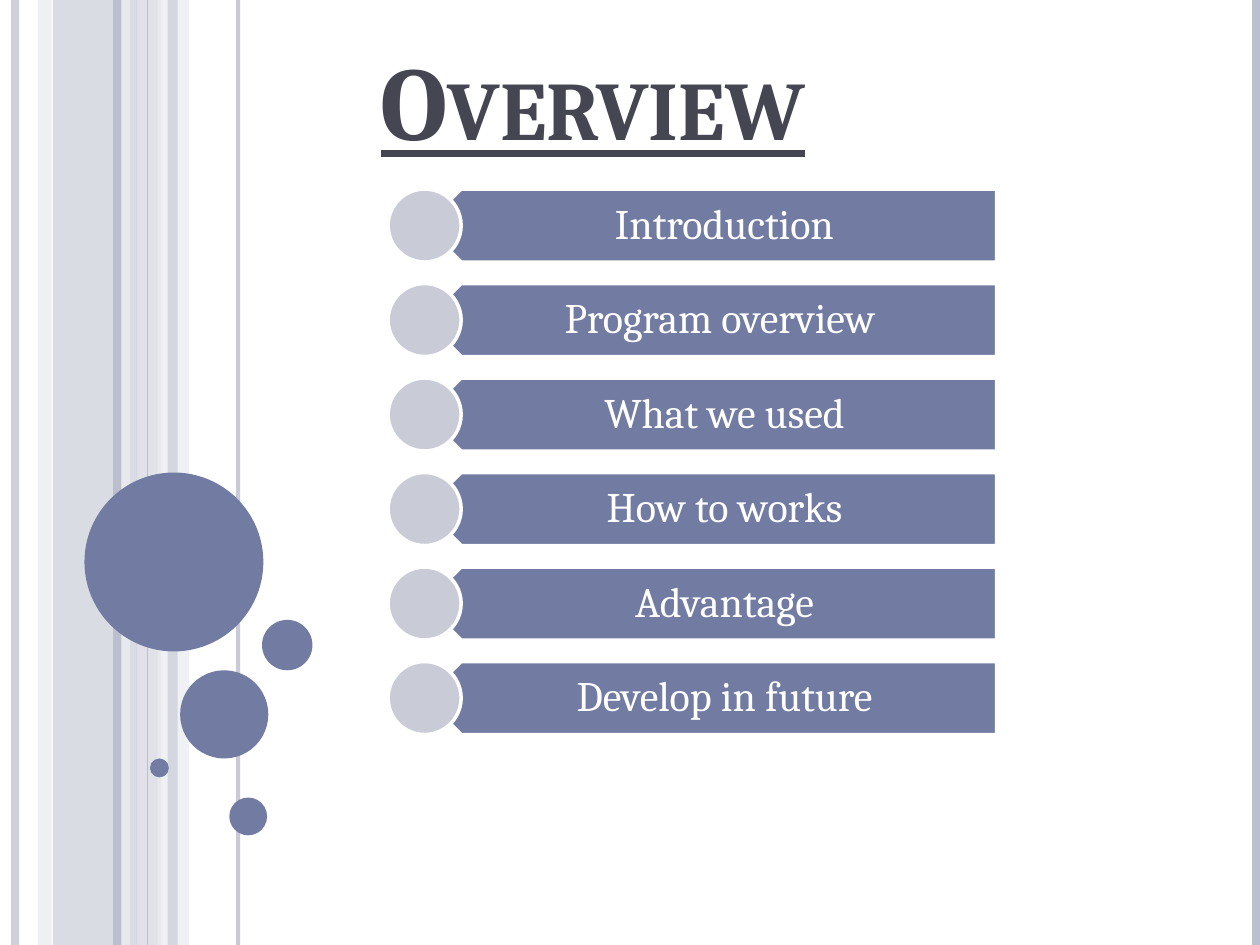
import lxml.etree
import pptx
import pptx.dml.color
import pptx.enum.shapes
import pptx.enum.text
import pptx.oxml.ns
import pptx.util

Inches = pptx.util.Inches
Pt = pptx.util.Pt
RGBColor = pptx.dml.color.RGBColor
Shapes = pptx.enum.shapes.MSO_SHAPE
Anchor = pptx.enum.text.MSO_ANCHOR
Align = pptx.enum.text.PP_ALIGN
qn = pptx.oxml.ns.qn

WHITE = RGBColor(0xFF, 0xFF, 0xFF)
INK = RGBColor(0x46, 0x46, 0x53)
SLATE = RGBColor(0x72, 0x7C, 0xA3)
MIST = RGBColor(0xC9, 0xCC, 0xD7)
STRIPE_DARK = RGBColor(0xBC, 0xBF, 0xCE)
STRIPE_MID = RGBColor(0xD5, 0xD7, 0xE0)
STRIPE_LIGHT = RGBColor(0xEB, 0xEC, 0xF0)

FONT = "Cambria"
SLIDE_WIDTH, SLIDE_HEIGHT = 10, 7.5

# left, width, colour, opacity in percent
BANDS = [
    (0.42, 0.67, STRIPE_DARK, 54),
    (0.3, 0.11, STRIPE_MID, 36),
    (1.08, 0.2, STRIPE_MID, 70),
    (1.25, 0.25, STRIPE_LIGHT, 71),
]
NARROW_BAND = (1.33, 0.08, STRIPE_DARK, 51)
# x, line width in points, colour, opacity in percent
RULES = [
    (0.12, 4.5, STRIPE_DARK, 73),
    (1, 4.5, STRIPE_LIGHT, 83),
    (0.93, 4.5, STRIPE_DARK, 100),
    (1.89, 2.25, STRIPE_DARK, 82),
    (1.17, 0.75, STRIPE_DARK, 100),
    (9.97, 4.5, STRIPE_DARK, 100),
]
# left, top, diameter
BUBBLES = [
    (0.67, 3.75, 1.42),
    (1.43, 5.32, 0.7),
    (1.19, 6.02, 0.15),
    (1.82, 6.33, 0.3),
    (2.08, 4.92, 0.4),
]
TOPICS = [
    "Introduction",
    "Program overview ",
    "What we used",
    "How to works",
    "Advantage",
    "Develop in future",
]
FIRST_TOP, ROW_PITCH, ROW_HEIGHT = 1.51, 0.75, 0.55


def set_opacity(shape, percent):
    if percent < 100:
        color = next(shape._element.spPr.iter(qn("a:srgbClr")))
        lxml.etree.SubElement(color, qn("a:alpha")).set("val", str(percent * 1000))


def add_filled(slide, preset, bounds, color, outline=None):
    shape = slide.shapes.add_shape(preset, *map(Inches, bounds))
    shape.shadow.inherit = False
    shape.fill.solid()
    shape.fill.fore_color.rgb = color
    if outline is None:
        shape.line.fill.background()
    else:
        shape.line.color.rgb = outline
        shape.line.width = Pt(2)
    return shape


def add_band(slide, left, width, color, opacity):
    band = add_filled(slide, Shapes.RECTANGLE, (left, 0, width, SLIDE_HEIGHT), color)
    set_opacity(band, opacity)


def add_rule(slide, x, weight, color, opacity):
    rule = slide.shapes.add_connector(
        pptx.enum.shapes.MSO_CONNECTOR.STRAIGHT,
        Inches(x), 0, Inches(x), Inches(SLIDE_HEIGHT))
    rule.line.color.rgb = color
    rule.line.width = Pt(weight)
    set_opacity(rule, opacity)
    lxml.etree.SubElement(rule._element.spPr, qn("a:effectLst"))


def format_run(run, size, color):
    run.font.name = FONT
    run.font.size = Pt(size)
    run.font.color.rgb = color


def add_title(slide, text):
    title = slide.shapes.title
    title.left, title.top = Inches(2.92), Inches(0.17)
    title.width, title.height = Inches(5.08), Inches(1.16)
    frame = title.text_frame
    frame.text = text
    frame.auto_size = pptx.enum.text.MSO_AUTO_SIZE.NONE
    frame.vertical_anchor = Anchor.BOTTOM
    para = frame.paragraphs[0]
    para.alignment = Align.LEFT
    run = para.runs[0]
    format_run(run, 59.4, INK)
    run.font.bold = True
    run.font.underline = True
    run.font._element.set("cap", "small")


def add_topic(slide, text, top):
    """Add one list row: an arrow bar pointing left, its label and a disc."""
    bar = add_filled(slide, Shapes.PENTAGON, (3.37, top, 4.54, 0.58), SLATE, WHITE)
    bar.rotation = 180

    label = slide.shapes.add_textbox(*map(Inches, (3.52, top, 4.4, 0.58)))
    frame = label.text_frame
    frame.word_wrap = True
    frame.vertical_anchor = Anchor.MIDDLE
    frame.margin_left, frame.margin_right = Inches(0.25), Inches(0.19)
    frame.margin_top = frame.margin_bottom = Inches(0.1)
    frame.text = text
    para = frame.paragraphs[0]
    para.alignment = Align.CENTER
    para.line_spacing = 0.9
    format_run(para.runs[0], 24, WHITE)

    add_filled(slide, Shapes.OVAL, (3.08, top, 0.58, 0.58), MIST, WHITE)


def main():
    deck = pptx.Presentation()
    deck.slide_width = Inches(SLIDE_WIDTH)
    deck.slide_height = Inches(SLIDE_HEIGHT)
    slide = deck.slides.add_slide(deck.slide_layouts[0])
    subtitle = slide.placeholders[1]._element
    subtitle.getparent().remove(subtitle)

    for band in BANDS:
        add_band(slide, *band)
    for rule in RULES:
        add_rule(slide, *rule)
    add_band(slide, *NARROW_BAND)
    for left, top, size in BUBBLES:
        add_filled(slide, Shapes.OVAL, (left, top, size, size), SLATE)

    add_title(slide, "Overview")
    for index, topic in enumerate(TOPICS):
        add_topic(slide, topic, 1.5 + 0.75 * index)
    deck.save("out.pptx")


if __name__ == "__main__":
    main()
